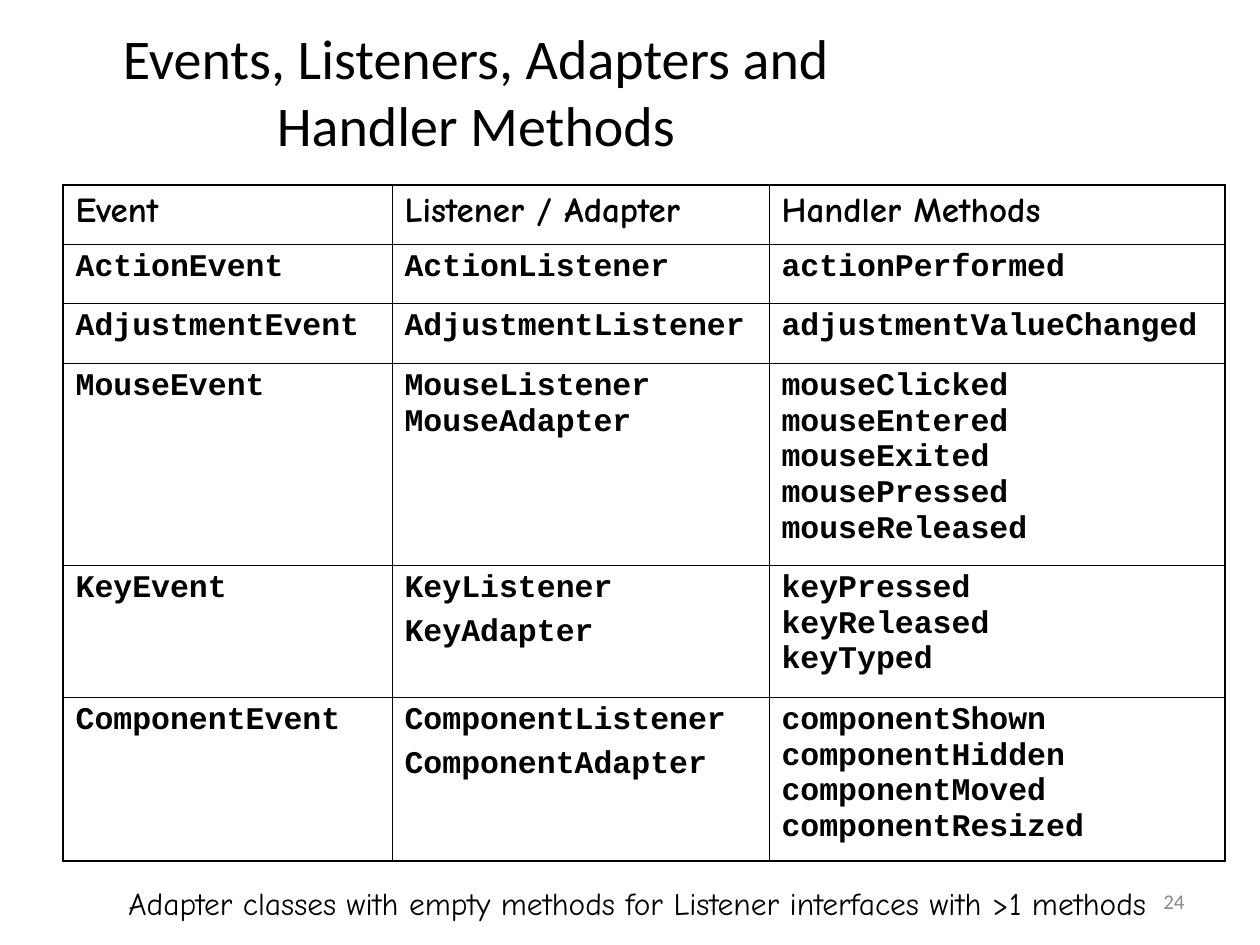
from lxml import etree
from pptx import Presentation
from pptx.dml.color import RGBColor
from pptx.enum.text import MSO_ANCHOR, MSO_AUTO_SIZE, PP_ALIGN
from pptx.oxml.ns import qn
from pptx.util import Pt

MIDDLE, TOP = MSO_ANCHOR.MIDDLE, MSO_ANCHOR.TOP
LEFT, CENTER, RIGHT = PP_ALIGN.LEFT, PP_ALIGN.CENTER, PP_ALIGN.RIGHT
NO_FIT, GROW = MSO_AUTO_SIZE.NONE, MSO_AUTO_SIZE.SHAPE_TO_FIT_TEXT
TITLE_ONLY = 5

TITLE = "Events, Listeners, Adapters and Handler Methods"
HEADINGS = ("Event", "Listener / Adapter", "Handler Methods")
EVENTS = [
    (["ActionEvent"], ["ActionListener"], ["actionPerformed"]),
    (["AdjustmentEvent"], ["AdjustmentListener"], ["adjustmentValueChanged"]),
    (["MouseEvent"], ["MouseListener\nMouseAdapter"],
     ["mouseClicked\nmouseEntered\nmouseExited\nmousePressed\nmouseReleased"]),
    (["KeyEvent"], ["KeyListener", "KeyAdapter"],
     ["keyPressed\nkeyReleased\nkeyTyped"]),
    (["ComponentEvent"], ["ComponentListener", "ComponentAdapter"],
     ["componentShown\ncomponentHidden\ncomponentMoved\ncomponentResized"]),
]
FOOTNOTE = "Adapter classes with empty methods for Listener interfaces with >1 methods"
PAGE_NUMBER = "24"

SLIDE_SIZE = (1260, 945)
TITLE_BOX = (74, 16, 804, 149)
TABLE_ORIGIN = (63, 185)
COLUMN_WIDTHS = (329, 377, 456)
ROW_HEIGHTS = (59, 59, 60, 202, 132, 164)
FOOTNOTE_BOX = (116, 878, 1047, 50)
PAGE_BOX = (903, 876, 294, 50)

THEME = {
    "title": {"name": "Calibri", "size": Pt(32), "bold": False, "color": "000000"},
    "heading": {"name": "Comic Neue", "size": Pt(20), "bold": True, "color": "000000"},
    "code": {"name": "Courier New", "size": Pt(18), "bold": True, "color": "000000"},
    "footnote": {"name": "Comic Neue", "size": Pt(18), "bold": False, "color": "000000"},
    "page": {"name": "Calibri", "size": Pt(12), "bold": False, "color": "898989"},
    "border": "000000",
    "outer_line": Pt(1.08),
    "inner_line": Pt(0.45),
    "paragraph_gap": Pt(4.5),
}


def px(length):
    return round(length * 914400 / 126)


def write(frame, paragraphs, style, align=LEFT):
    for index, text in enumerate(paragraphs):
        paragraph = frame.add_paragraph() if index else frame.paragraphs[0]
        paragraph.text = text
        paragraph.alignment = align
        paragraph.space_before = THEME["paragraph_gap"] if index else Pt(0)
        for run in paragraph.runs:
            for key, value in THEME[style].items():
                if key == "color":
                    run.font.color.rgb = RGBColor.from_string(value)
                else:
                    setattr(run.font, key, value)


def add_label(slide, box, text, style, align, **frame_format):
    frame = slide.shapes.add_textbox(*map(px, box)).text_frame
    for key, value in frame_format.items():
        setattr(frame, key, value)
    write(frame, [text], style, align)


def draw_borders(cell, outer_sides):
    properties = cell._tc.get_or_add_tcPr()
    for side, is_outer in outer_sides.items():
        width = THEME["outer_line" if is_outer else "inner_line"]
        line = etree.SubElement(properties, qn(f"a:ln{side}"), w=str(int(width)))
        fill = etree.SubElement(line, qn("a:solidFill"))
        etree.SubElement(fill, qn("a:srgbClr"), val=THEME["border"])


def add_event_table(slide):
    rows = [[[heading] for heading in HEADINGS], *EVENTS]
    last_row, last_column = len(rows) - 1, len(HEADINGS) - 1
    size = (sum(COLUMN_WIDTHS), sum(ROW_HEIGHTS))
    table = slide.shapes.add_table(
        len(rows), len(HEADINGS), *map(px, TABLE_ORIGIN + size)).table
    table.first_row = table.horz_banding = False
    for column, width in zip(table.columns, COLUMN_WIDTHS):
        column.width = px(width)
    for r, (entries, height) in enumerate(zip(rows, ROW_HEIGHTS)):
        table.rows[r].height = px(height)
        for c, paragraphs in enumerate(entries):
            cell = table.cell(r, c)
            cell.vertical_anchor = TOP
            write(cell.text_frame, paragraphs, "code" if r else "heading")
            draw_borders(cell, {"L": c == 0, "R": c == last_column,
                                "T": r == 0, "B": r == last_row})
            cell.fill.background()


def main():
    deck = Presentation()
    deck.slide_width, deck.slide_height = map(px, SLIDE_SIZE)
    slide = deck.slides.add_slide(deck.slide_layouts[TITLE_ONLY])
    add_label(slide, PAGE_BOX, PAGE_NUMBER, "page", RIGHT,
              word_wrap=True, vertical_anchor=MIDDLE)
    title = slide.shapes.title
    title.left, title.top, title.width, title.height = map(px, TITLE_BOX)
    title.text_frame.auto_size = NO_FIT
    title.text_frame.vertical_anchor = MIDDLE
    write(title.text_frame, [TITLE], "title", CENTER)
    add_event_table(slide)
    add_label(slide, FOOTNOTE_BOX, FOOTNOTE, "footnote", LEFT,
              word_wrap=False, auto_size=GROW)
    deck.save("out.pptx")


if __name__ == "__main__":
    main()
